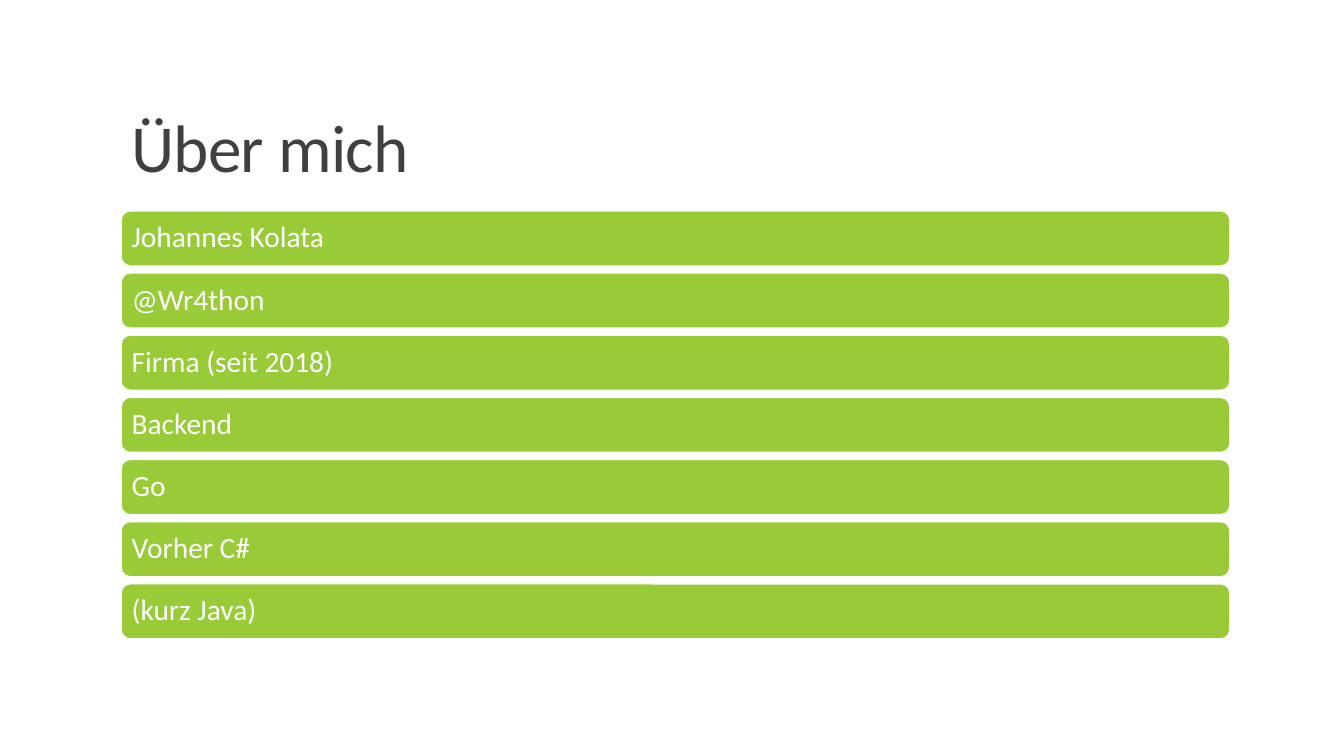
"""Build the "Über mich" slide: a title above a stack of rounded bars."""
import pptx
import pptx.dml.color
import pptx.enum.shapes
import pptx.enum.text
import pptx.util

Inches = pptx.util.Inches
Pt = pptx.util.Pt
RGBColor = pptx.dml.color.RGBColor
MSO_ANCHOR = pptx.enum.text.MSO_ANCHOR

GREEN = RGBColor(0x99, 0xCB, 0x38)
WHITE = RGBColor(0xFF, 0xFF, 0xFF)
DARK_GREY = RGBColor(0x40, 0x40, 0x40)

FACTS = [
    "Johannes Kolata",
    "@Wr4thon",
    "Firma (seit 2018)",
    "Backend",
    "Go",
    "Vorher C#",
    "(kurz Java)",
]
LEFT, WIDTH = 1.2, 11
FIRST_TOP, LAST_TOP = 2.09, 5.79
BAR_HEIGHT, CORNER_RADIUS = 0.55, 0.09
PITCH = (LAST_TOP - FIRST_TOP) / (len(FACTS) - 1)


def style_text(paragraph, size, color, line_spacing):
    paragraph.alignment = pptx.enum.text.PP_ALIGN.LEFT
    paragraph.line_spacing = line_spacing
    paragraph.font.name = "Calibri"
    paragraph.font.size = Pt(size)
    paragraph.font.color.rgb = color


presentation = pptx.Presentation()
presentation.slide_width = Inches(13.33)
presentation.slide_height = Inches(7.5)
slide = presentation.slides.add_slide(presentation.slide_layouts[5])

heading = slide.shapes.title
heading.left, heading.top = Inches(LEFT), Inches(0.31)
heading.width, heading.height = Inches(WIDTH), Inches(1.59)
heading.text_frame.text = "Über mich"
heading.text_frame.vertical_anchor = MSO_ANCHOR.BOTTOM
heading_line = heading.text_frame.paragraphs[0]
style_text(heading_line, 48, DARK_GREY, 0.85)
heading_line.runs[0].font._element.set("spc", "-50")

for row, fact in enumerate(FACTS):
    bar = slide.shapes.add_shape(
        pptx.enum.shapes.MSO_SHAPE.ROUNDED_RECTANGLE,
        Inches(LEFT), Inches(FIRST_TOP + row * PITCH),
        Inches(WIDTH), Inches(BAR_HEIGHT),
    )
    bar.adjustments[0] = CORNER_RADIUS / BAR_HEIGHT
    bar.shadow.inherit = False
    bar.fill.solid()
    bar.fill.fore_color.rgb = GREEN
    bar.line.color.rgb = WHITE
    bar.line.width = Pt(1.25)

    label = bar.text_frame
    label.text = fact
    label.word_wrap = True
    label.vertical_anchor = MSO_ANCHOR.MIDDLE
    label.margin_left = label.margin_right = Inches(0.08)
    label.margin_top = label.margin_bottom = Inches(0.08)
    style_text(label.paragraphs[0], 21, WHITE, 0.9)
    label.paragraphs[0].space_after = Pt(9)

presentation.save("out.pptx")
